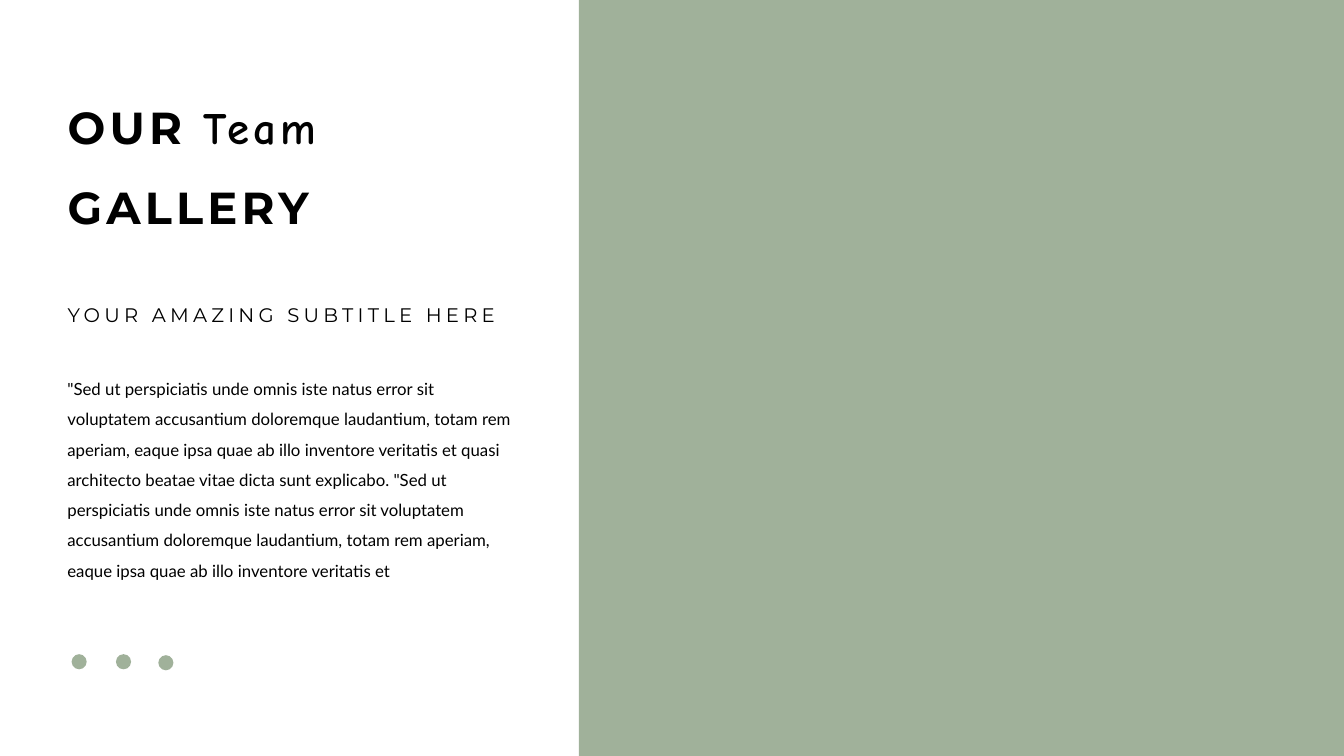
import dataclasses

import pptx
import pptx.dml.color
import pptx.enum.shapes
import pptx.enum.text
import pptx.util

Inches = pptx.util.Inches


@dataclasses.dataclass(frozen=True)
class Theme:
    sage: str = "A0B19A"
    ink: str = "000000"
    heading_font: str = "Montserrat"
    accent_font: str = "Comic Neue"
    body_font: str = "Lato"
    title_size: int = 32
    subtitle_size: int = 14
    body_size: int = 12
    line_spacing: float = 1.5
    tracking: int = 3


THEME = Theme()
LEFT_MARGIN = 0.57
PANEL_LEFT = 5.74
SLIDE_WIDTH, SLIDE_HEIGHT = 13.33, 7.5
DOT_SIZE = 0.15
DOT_POSITIONS = ((0.71, 6.49), (1.15, 6.49), (1.57, 6.5))

BODY_COPY = (
    '"Sed ut perspiciatis unde omnis iste natus error sit voluptatem '
    "accusantium doloremque laudantium, totam rem aperiam, eaque ipsa quae "
    "ab illo inventore veritatis et quasi architecto beatae vitae dicta sunt "
    'explicabo. "Sed ut perspiciatis unde omnis iste natus error sit '
    "voluptatem accusantium doloremque laudantium, totam rem aperiam, eaque "
    "ipsa quae ab illo inventore veritatis et"
)


def place(box, top, width, height):
    box.left, box.top = Inches(LEFT_MARGIN), Inches(top)
    box.width, box.height = Inches(width), Inches(height)
    frame = box.text_frame
    frame.word_wrap = True
    frame.auto_size = pptx.enum.text.MSO_AUTO_SIZE.NONE
    frame.vertical_anchor = pptx.enum.text.MSO_ANCHOR.TOP
    return frame


def add_text(paragraph, text, *, font, size, bold=False, tracking=0):
    paragraph.alignment = pptx.enum.text.PP_ALIGN.LEFT
    paragraph.line_spacing = THEME.line_spacing
    paragraph.space_before = pptx.util.Pt(0)
    run = paragraph.add_run()
    run.text = text
    run.font.name = font
    run.font.size = pptx.util.Pt(size)
    run.font.bold = bold
    run.font.color.rgb = pptx.dml.color.RGBColor.from_string(THEME.ink)
    if tracking:
        run._r.get_or_add_rPr().set("spc", str(tracking * 100))


def add_sage_shape(slide, kind, left, top, width, height):
    shape = slide.shapes.add_shape(
        kind, Inches(left), Inches(top), Inches(width), Inches(height)
    )
    shape.shadow.inherit = False
    shape.fill.solid()
    shape.fill.fore_color.rgb = pptx.dml.color.RGBColor.from_string(THEME.sage)
    shape.line.fill.background()


def add_title(slide):
    heading = place(slide.shapes.title, 0.67, 3.92, 1.72)
    style = dict(size=THEME.title_size, bold=True, tracking=THEME.tracking)
    first_line = heading.paragraphs[0]
    add_text(first_line, "OUR ", font=THEME.heading_font, **style)
    add_text(first_line, "Team", font=THEME.accent_font, **style)
    add_text(heading.add_paragraph(), "GALLERY", font=THEME.heading_font, **style)


def add_subtitle(slide):
    subtitle = place(slide.placeholders[1], 2.84, 4.63, 0.62)
    add_text(
        subtitle.paragraphs[0],
        "YOUR AMAZING SUBTITLE HERE",
        font=THEME.heading_font,
        size=THEME.subtitle_size,
        tracking=THEME.tracking,
    )


def add_body(slide):
    body_box = slide.shapes.add_textbox(0, 0, 0, 0)
    body = place(body_box, 3.61, 4.67, 2.27)
    add_text(
        body.paragraphs[0], BODY_COPY, font=THEME.body_font, size=THEME.body_size
    )


def main():
    deck = pptx.Presentation()
    deck.slide_width, deck.slide_height = Inches(SLIDE_WIDTH), Inches(SLIDE_HEIGHT)
    slide = deck.slides.add_slide(deck.slide_layouts[0])
    shape_kinds = pptx.enum.shapes.MSO_SHAPE
    add_sage_shape(
        slide,
        shape_kinds.RECTANGLE,
        PANEL_LEFT,
        0,
        SLIDE_WIDTH - PANEL_LEFT,
        SLIDE_HEIGHT,
    )
    for left, top in DOT_POSITIONS:
        add_sage_shape(slide, shape_kinds.OVAL, left, top, DOT_SIZE, DOT_SIZE)
    add_title(slide)
    add_subtitle(slide)
    add_body(slide)
    deck.save("out.pptx")


if __name__ == "__main__":
    main()
